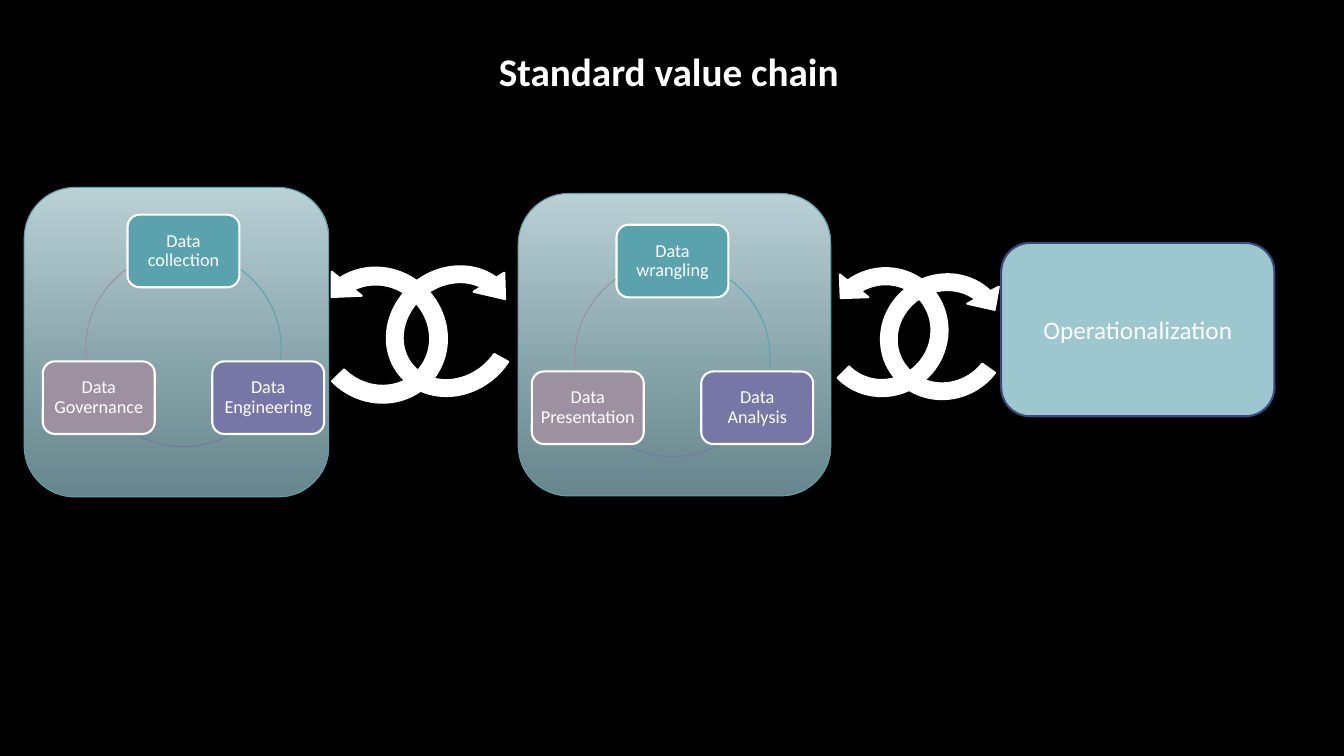
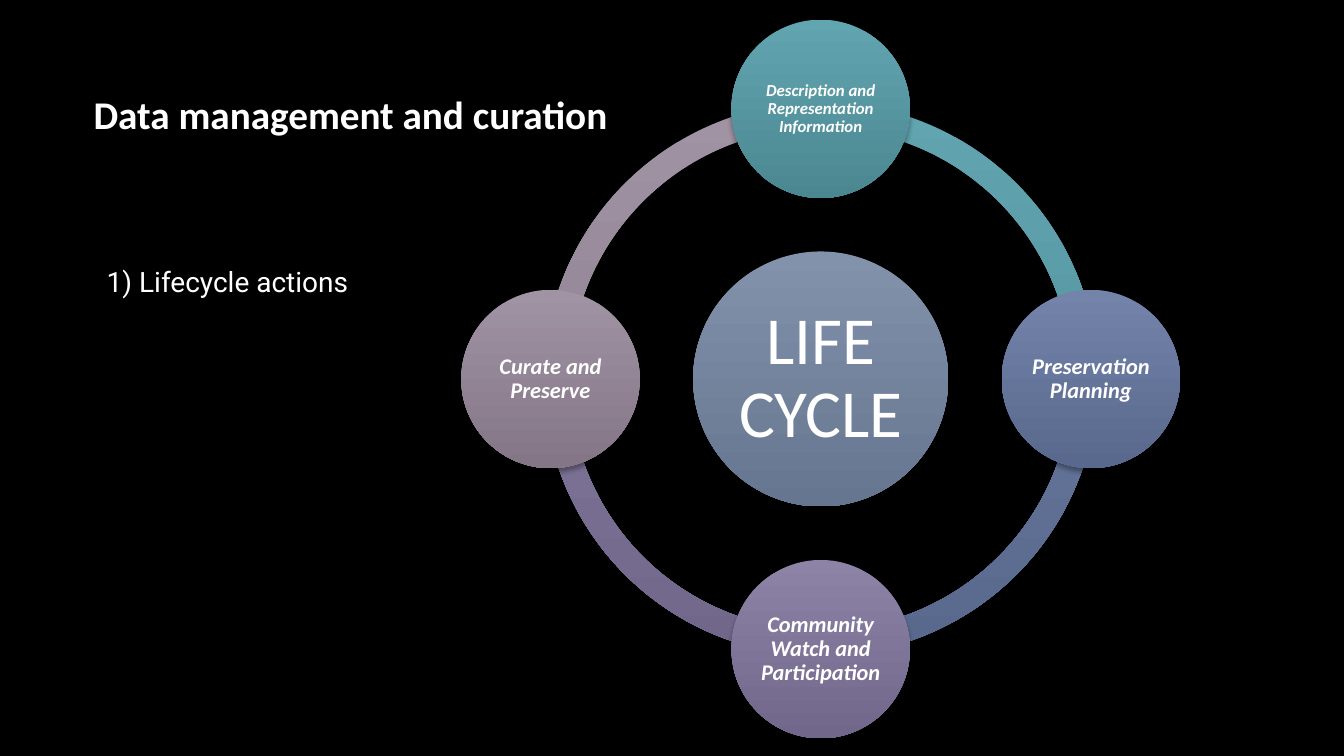
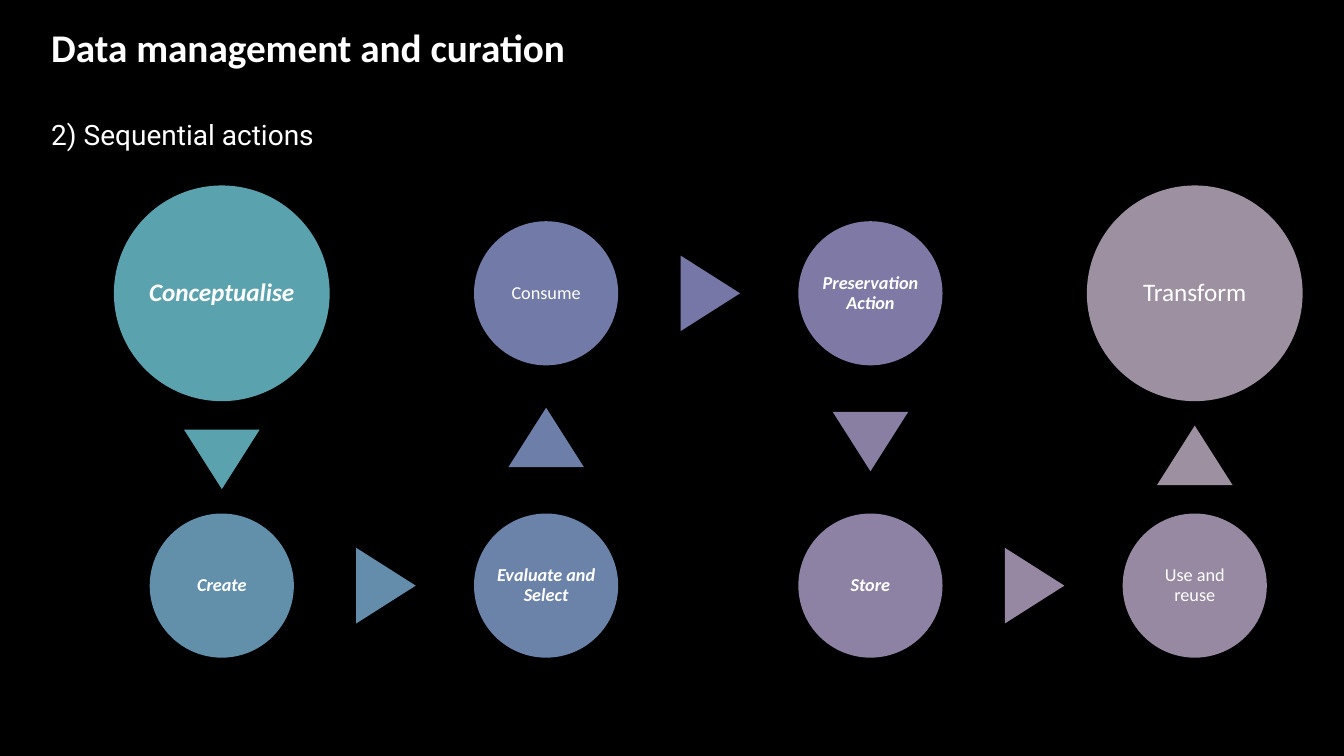
from math import atan2, cos, degrees, radians, sin

from lxml.etree import SubElement
from pptx import Presentation
from pptx.dml.color import RGBColor
from pptx.enum.shapes import MSO_SHAPE as SHAPE
from pptx.enum.text import MSO_ANCHOR as ANCHOR, PP_ALIGN as ALIGN
from pptx.oxml.ns import qn
from pptx.util import Inches, Pt

WHITE, BLACK = "FFFFFF", "000000"
TEAL, VIOLET, MAUVE = "5AA2AE", "7677A6", "9D90A0"
ANGLE = 0.6  # adjustment units per degree


def rgb(value):
    return RGBColor.from_string(value)


def write(tf, text, size=28, font="Calibri", color=WHITE, bold=False, italic=False,
          align=ALIGN.LEFT, spacing=None, before=None, new=False):
    """Write one formatted paragraph into a text frame."""
    p = tf.add_paragraph() if new else tf.paragraphs[0]
    p.alignment = align
    if spacing:
        p.line_spacing = spacing
    if before:
        p.space_before = Pt(before)
    r = p.add_run()
    r.text = text
    r.font.name, r.font.size = font, Pt(size)
    r.font.bold, r.font.italic = bold, italic
    r.font.color.rgb = rgb(color)


class Deck:
    def __init__(self):
        self.prs = Presentation()
        self.prs.slide_width, self.prs.slide_height = Inches(13.33), Inches(7.5)
        self.s = None

    def slide(self):
        self.s = self.prs.slides.add_slide(self.prs.slide_layouts[6])
        fill = self.s.background.fill
        fill.solid()
        fill.fore_color.rgb = rgb(BLACK)

    def shape(self, kind, x, y, w, h, fill=None, line=None, width=1.5,
              rot=0, adj=(), alpha=None, shadow=False):
        """Draw a preset shape; a pair of fill colours makes a downward gradient."""
        sp = self.s.shapes.add_shape(kind, Inches(x), Inches(y), Inches(w), Inches(h))
        sp.rotation = rot
        for i, value in enumerate(adj):
            sp.adjustments[i] = value
        if fill is None:
            sp.fill.background()
        elif isinstance(fill, str):
            sp.fill.solid()
            sp.fill.fore_color.rgb = rgb(fill)
        else:
            sp.fill.gradient()
            sp.fill.gradient_angle = 270
            for i, stop in enumerate(sp.fill.gradient_stops):
                stop.position, stop.color.rgb = i, rgb(fill[i])
        if alpha:
            last = list(sp._element.spPr.iter(qn("a:srgbClr")))[-1]
            SubElement(last, qn("a:alpha"), val=str(alpha * 1000))
        if line:
            sp.line.color.rgb, sp.line.width = rgb(line), Pt(width)
        else:
            sp.line.fill.background()
        sp.shadow.inherit = False
        if shadow:
            effects = sp._element.spPr.find(qn("a:effectLst"))
            outer = SubElement(effects, qn("a:outerShdw"), blurRad=str(Pt(4)),
                               dist=str(Pt(3)), dir="5400000", rotWithShape="0")
            tint = SubElement(outer, qn("a:srgbClr"), val=BLACK)
            SubElement(tint, qn("a:alpha"), val="35000")
        return sp

    def centered(self, kind, cx, cy, w, h, **style):
        return self.shape(kind, cx - w / 2, cy - h / 2, w, h, **style)

    def label(self, sp, text, inset=0.01, **fmt):
        tf = sp.text_frame
        tf.word_wrap, tf.vertical_anchor = True, ANCHOR.MIDDLE
        tf.margin_left = tf.margin_right = tf.margin_top = tf.margin_bottom = Inches(inset)
        write(tf, text, align=ALIGN.CENTER, **fmt)

    def circle(self, cx, cy, d, fill, text, **fmt):
        sp = self.centered(SHAPE.OVAL, cx, cy, d, d, fill=fill, shadow=True)
        self.label(sp, text, spacing=0.9, **fmt)

    def text(self, x, y, w, h, text, **fmt):
        tf = self.s.shapes.add_textbox(Inches(x), Inches(y), Inches(w), Inches(h)).text_frame
        tf.word_wrap = True
        write(tf, text, **fmt)
        return tf

    def panel(self, x, y, w, h):
        self.shape(SHAPE.ROUNDED_RECTANGLE, x, y, w, h, fill=("BCD3D8", "8DB7C0"),
                   line=TEAL, width=0.75, alpha=74)

    def cycle(self, cx, cy, names, radius=0.97):
        """Three boxes on a thin ring, clockwise from the top."""
        arcs = ((305.7, 6.8), (61.2, 118.8), (173.2, 234.3))
        for i, (name, color, ends) in enumerate(zip(names, (TEAL, VIOLET, MAUVE), arcs)):
            a = radians(120 * i - 90)
            self.centered(SHAPE.ARC, cx, cy, 2 * radius, 2 * radius, line=color,
                          width=0.75, adj=[e * ANGLE for e in ends])
            box = self.centered(SHAPE.ROUNDED_RECTANGLE, cx + radius * cos(a),
                                cy + radius * sin(a), 1.11, 0.72, fill=color, line=WHITE)
            self.label(box, name, inset=0.04, size=13, spacing=0.9)


def value_chain(d):
    d.slide()
    # Stages
    d.panel(0.24, 1.86, 3.02, 3.07)
    d.panel(5.14, 1.92, 3.1, 3)
    box = d.shape(SHAPE.ROUNDED_RECTANGLE, 9.93, 2.41, 2.71, 1.72, fill="9CC7CE", line="374B7F")
    d.label(box, "Operationalization", size=18)

    # Interlocked arrows between stages
    left, right = SHAPE.LEFT_CIRCULAR_ARROW, SHAPE.CIRCULAR_ARROW
    for kind, x, y, w, h, rot, head in (
            (left, 3, 2.53, 1.52, 1.59, 132.8, 11.42),
            (right, 3.78, 2.5, 1.43, 1.57, 231.1, 13.27),
            (right, 8.66, 2.6, 1.42, 1.48, 237.7, 11.42),
            (left, 8.02, 2.57, 1.49, 1.45, 132.4, 11.42)):
        sweep = (63, 1.67) if kind == left else (45, 94.8)
        d.shape(kind, x, y, w, h, fill=WHITE, line=WHITE, rot=rot,
                adj=(0.11, head, *sweep, 0.125))

    # Cycles inside the panels
    d.cycle(1.82, 3.46, ("Data collection", "Data Engineering", "Data Governance"))
    d.cycle(6.67, 3.56, ("Data wrangling", "Data Analysis", "Data Presentation"))
    d.text(4.85, 0.42, 3.61, 0.57, "Standard value chain", bold=True)


def lifecycle(d):
    d.slide()
    cx, cy, radius, ring = 8.14, 3.76, 2.68, 5.49
    actions = (
        ("Description and Representation Information", 12, ("61A5B0", "4B8791")),
        ("Preservation Planning", 16, ("7383AA", "59698D")),
        ("Community Watch and Participation", 16, ("8C83A6", "70678B")),
        ("Curate and Preserve", 16, ("A093A3", "847687")))

    # Ring quarters, then the circles over them
    for i, (_, _, fill) in reversed(list(enumerate(actions))):
        ends = (90 * i + 270) % 360, 90 * i
        d.centered(SHAPE.BLOCK_ARC, cx, cy, ring, ring, fill=fill, shadow=True,
                   adj=(ends[0] * ANGLE, ends[1] * ANGLE, 0.046))
    d.circle(cx, cy, 2.53, ("8392AB", "667690"), "LIFE CYCLE", size=48)
    for i, (name, size, fill) in enumerate(actions):
        a = radians(90 * i - 90)
        d.circle(cx + radius * cos(a), cy + radius * sin(a), 1.77, fill, name,
                 size=size, bold=True, italic=True)

    # Headings
    d.text(0.83, 0.85, 5.84, 0.57, "Data management and curation", bold=True)
    d.text(0.96, 2.57, 2.7, 0.42, "1) Lifecycle actions", size=20, font="Roboto")


def sequence(d):
    d.slide()
    columns = [2.2 + i * (11.85 - 2.2) / 3 for i in range(4)]
    rows = (2.91, 5.81)
    big, small = 2.14, 1.43
    # Name, column, row, diameter, emphasis, colour, colour of the next arrow
    steps = (
        ("Conceptualise", 0, 0, big, True, TEAL, TEAL),
        ("Create", 0, 1, small, True, "6290AB", "648DAB"),
        ("Evaluate and Select", 1, 1, small, True, "6B82A9", "6D7FA8"),
        ("Consume", 1, 0, small, False, "727AA7", VIOLET),
        ("Preservation Action", 2, 0, small, True, "7E7AA5", "887FA3"),
        ("Store", 2, 1, small, True, "8D82A3", "9688A2"),
        ("Use and reuse", 3, 1, small, False, "9789A1", MAUVE),
        ("Transform", 3, 0, big, False, MAUVE, None))
    for name, col, row, size, strong, color, _ in steps:
        d.circle(columns[col], rows[row], size, color, name,
                 size=18 if size == big else 13, bold=strong, italic=strong)

    # Arrows sit just past the middle of the gap between two circles
    for here, after in zip(steps, steps[1:]):
        x, y = columns[here[1]], rows[here[2]]
        a = atan2(rows[after[2]] - y, columns[after[1]] - x)
        gap = abs(columns[after[1]] - x) + abs(rows[after[2]] - y)
        reach = (gap + here[3] / 2 - after[3] / 2) / 2 + 0.02
        d.centered(SHAPE.ISOSCELES_TRIANGLE, x + reach * cos(a), y + reach * sin(a),
                   0.75, 0.59, fill=here[6], rot=degrees(a) + 90)

    # Headings
    tf = d.text(0.41, 0.18, 11.62, 1.68, "Data management and curation", bold=True)
    write(tf, "2) Sequential actions", size=20, font="Roboto", before=34, new=True)


def main():
    d = Deck()
    value_chain(d)
    lifecycle(d)
    sequence(d)
    d.prs.save("out.pptx")


if __name__ == "__main__":
    main()
